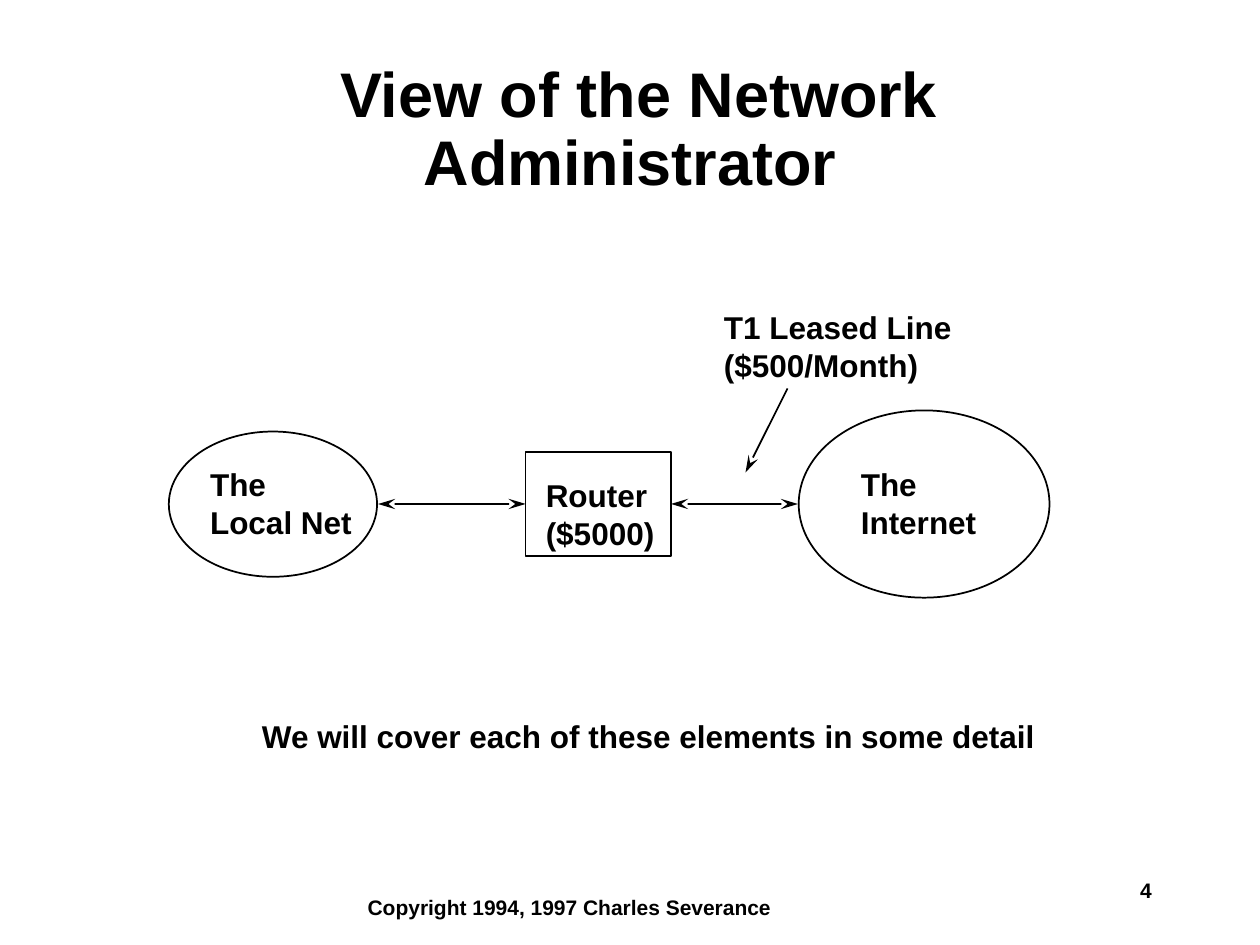
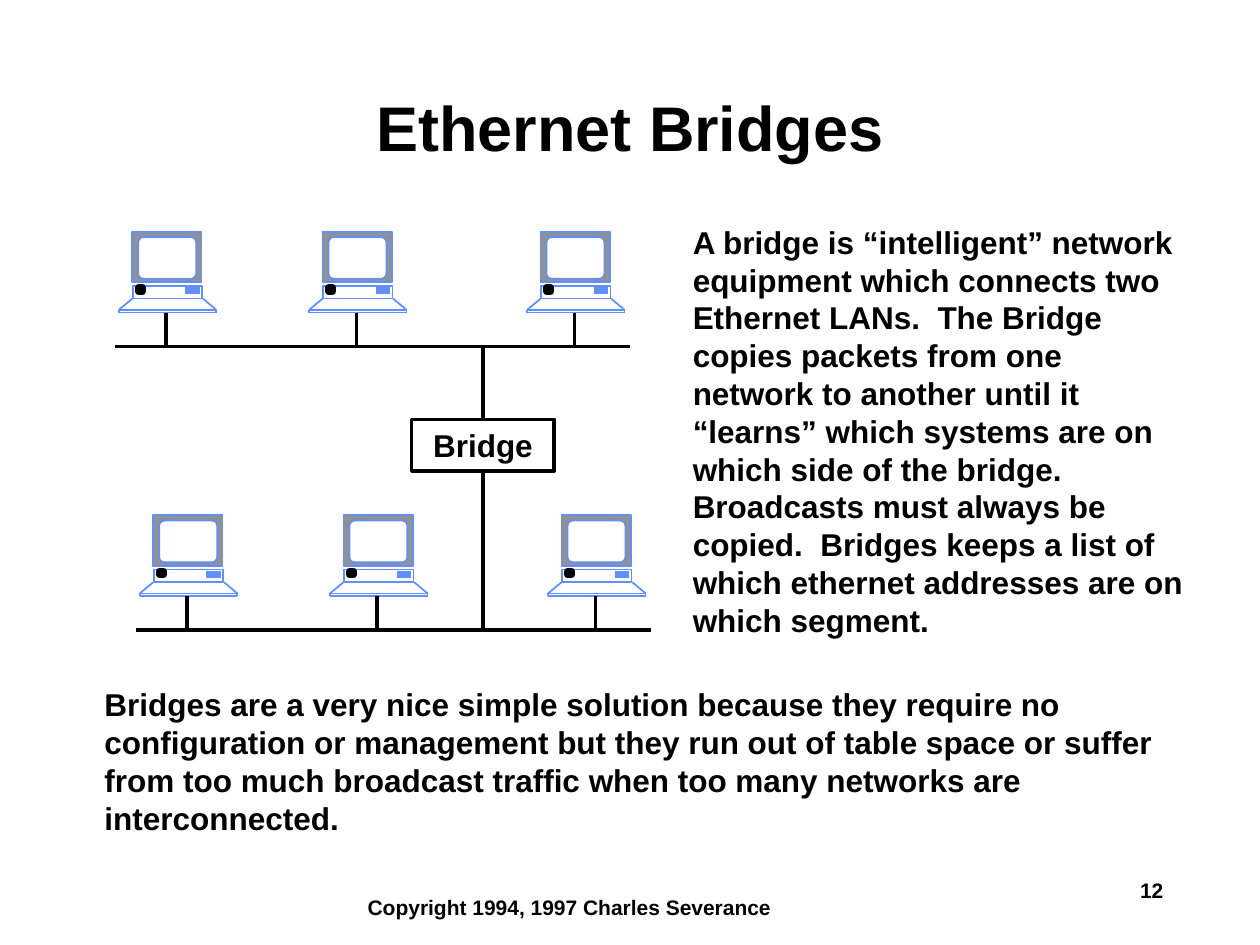
import pptx
import pptx.dml.color
import pptx.enum.shapes
import pptx.enum.text
import pptx.oxml
import pptx.oxml.ns
import pptx.util

Pt = pptx.util.Pt
Shape = pptx.enum.shapes.MSO_SHAPE
STRAIGHT = pptx.enum.shapes.MSO_CONNECTOR.STRAIGHT
ALIGN = pptx.enum.text.PP_ALIGN
ANCHOR = pptx.enum.text.MSO_ANCHOR

BLACK = pptx.dml.color.RGBColor(0x00, 0x00, 0x00)
WHITE = pptx.dml.color.RGBColor(0xFF, 0xFF, 0xFF)
GREY = pptx.dml.color.RGBColor(0x91, 0x91, 0x91)
BLUE = pptx.dml.color.RGBColor(0x61, 0x8F, 0xFD)
FONT = "Arial"
BODY_SIZE = 18


def style_drawing(drawing, colour, width, fill=None, arrows=()):
    """Style a shape or connector; arrows may name headEnd and tailEnd."""
    drawing.line.color.rgb = colour
    drawing.line.width = Pt(width)
    properties = drawing.element.spPr
    line = properties.find(pptx.oxml.ns.qn("a:ln"))
    namespace = pptx.oxml.ns.nsdecls("a")
    for end in arrows:
        line.append(pptx.oxml.parse_xml(
            f'<a:{end} {namespace} type="stealth" w="med" len="lg"/>'))
    properties.append(pptx.oxml.parse_xml(f"<a:effectLst {namespace}/>"))
    if fill is not None:
        drawing.fill.solid()
        drawing.fill.fore_color.rgb = fill


def write_text(shape, lines, size=BODY_SIZE, wrap=False, align=ALIGN.LEFT,
               anchor=ANCHOR.TOP, spacing=1.0):
    frame = shape.text_frame
    frame.word_wrap = wrap
    frame.vertical_anchor = anchor
    for index, line in enumerate(lines):
        paragraph = frame.add_paragraph() if index else frame.paragraphs[0]
        paragraph.alignment = align
        paragraph.line_spacing = spacing
        run = paragraph.add_run()
        run.text = line
        run.font.name = FONT
        run.font.size = Pt(size)
        run.font.bold = True
        run.font.color.rgb = BLACK


presentation = pptx.Presentation()
presentation.slide_width = Pt(720)
presentation.slide_height = Pt(540)

# Title and footer on every slide
slides = []
for title, number in ((" View of the Network Administrator", "4"),
                      ("Ethernet Bridges", "12")):
    slide = presentation.slides.add_slide(presentation.slide_layouts[6])
    slides.append(slide)
    footer = slide.shapes.add_textbox(Pt(203), Pt(507.6), Pt(245.5), Pt(21.6))
    write_text(footer, ["Copyright 1994, 1997 Charles Severance"], size=12)
    page_number = slide.shapes.add_textbox(Pt(644.4), Pt(498), Pt(72), Pt(21.6))
    write_text(page_number, [number], size=12, wrap=True)
    title_box = slide.shapes.add_textbox(Pt(78), Pt(48), Pt(564), Pt(54))
    write_text(title_box, [title], size=36, wrap=True, align=ALIGN.CENTER,
               anchor=ANCHOR.MIDDLE, spacing=0.9)
administrator_slide, bridge_slide = slides

# Local net, router and Internet
nodes = []
for kind, left, top, width, height in (
        (Shape.OVAL, 96.5, 246.6, 119, 83),
        (Shape.RECTANGLE, 300.4, 258.4, 83, 59.2),
        (Shape.OVAL, 456.4, 234.5, 143.3, 107)):
    node = administrator_slide.shapes.add_shape(
        kind, Pt(left), Pt(top), Pt(width), Pt(height))
    style_drawing(node, BLACK, 1, WHITE)
    nodes.append(node)
router = nodes[1]

link_y = Pt(288)
local_link = administrator_slide.shapes.add_connector(
    STRAIGHT, Pt(216), link_y, Pt(300), link_y)
local_link.end_connect(router, 1)
leased_line = administrator_slide.shapes.add_connector(
    STRAIGHT, Pt(384), link_y, Pt(456), link_y)
leased_line.begin_connect(router, 3)
for link in (local_link, leased_line):
    style_drawing(link, BLACK, 1, arrows=("headEnd", "tailEnd"))
pointer = administrator_slide.shapes.add_connector(
    STRAIGHT, Pt(450), Pt(222), Pt(426), Pt(270))
style_drawing(pointer, BLACK, 1, arrows=("tailEnd",))

for left, top, width, height, lines in (
        (113, 262.2, 95.8, 50.4, ["The", "Local Net"]),
        (304.8, 268.6, 76.3, 50.4, ["Router", "($5000)"]),
        (484.8, 262.2, 80.6, 50.4, ["The", "Internet"]),
        (406.6, 172.4, 149.8, 50.4, ["T1 Leased Line", "($500/Month)"]),
        (142.6, 406, 456.5, 28.8,
         ["We will cover each of these elements in some detail"])):
    label = administrator_slide.shapes.add_textbox(
        Pt(left), Pt(top), Pt(width), Pt(height))
    write_text(label, lines)

# Two Ethernet segments of three computers, measured from each screen's corner
COMPUTER_BOXES = (
    (Shape.RECTANGLE, 0, 0, 39.6, 28.8, BLUE, 1, GREY),
    (Shape.ROUNDED_RECTANGLE, 3.4, 3, 33.1, 23.8, BLUE, 1, WHITE),
    (Shape.RECTANGLE, 0.4, 31, 39.6, 7.2, BLUE, 1, None),
    (Shape.RECTANGLE, 3.6, 31.9, 2.2, 2.2, BLACK, 4, BLACK),
)
COMPUTER_LINES = (
    (0, 38.2, -7.7, 44.6, BLUE, 1),
    (40.4, 38.2, 48, 44.6, BLUE, 1),
    (-7.7, 44.6, 48, 44.6, BLUE, 1),
    (-7.7, 46.1, 48, 46.1, BLUE, 1),
    (-7.7, 44.6, -7.7, 46.1, BLUE, 1),
    (48, 44.6, 48, 46.1, BLUE, 1),
    (30.4, 33.8, 38.6, 33.8, BLUE, 4),
    (19.3, 46.1, 19.3, 65.5, BLACK, 2),
)
SCREEN_LEFTS = (75.6, 184.3, 308.9)
CABLE_YS = (198, 360)
for cable_y, indent in zip(CABLE_YS, (0, 12)):
    segment = bridge_slide.shapes.add_group_shape()
    screen_top = cable_y - 65.5
    for screen_left in SCREEN_LEFTS:
        x = screen_left + indent
        for kind, left, top, width, height, colour, weight, fill in COMPUTER_BOXES:
            part = segment.shapes.add_shape(
                kind, Pt(x + left), Pt(screen_top + top), Pt(width), Pt(height))
            style_drawing(part, colour, weight, fill)
            if fill is None:
                part.fill.background()
            if kind == Shape.ROUNDED_RECTANGLE:
                part.adjustments[0] = 0.125
        for x1, y1, x2, y2, colour, weight in COMPUTER_LINES:
            edge = segment.shapes.add_connector(
                STRAIGHT, Pt(x + x1), Pt(screen_top + y1),
                Pt(x + x2), Pt(screen_top + y2))
            style_drawing(edge, colour, weight)
    cable = segment.shapes.add_connector(
        STRAIGHT, Pt(66 + indent), Pt(cable_y), Pt(360 + indent), Pt(cable_y))
    style_drawing(cable, BLACK, 2)

# Bridge joining the two cables
bridge = bridge_slide.shapes.add_shape(
    Shape.RECTANGLE, Pt(235.3), Pt(239.6), Pt(81.4), Pt(29.6))
style_drawing(bridge, BLACK, 2, WHITE)
write_text(bridge, ["Bridge"], align=ALIGN.CENTER, anchor=ANCHOR.MIDDLE)
for cable_y, side in zip(CABLE_YS, (0, 2)):
    riser = bridge_slide.shapes.add_connector(
        STRAIGHT, Pt(276), Pt(cable_y), Pt(276), Pt(cable_y))
    riser.end_connect(bridge, side)
    style_drawing(riser, BLACK, 2)

for left, top, width, height, text in (
        (388.8, 123.8, 295.2, 244.8,
         "A bridge is “intelligent” network equipment which connects two "
         "Ethernet LANs.  The Bridge copies packets from one network to another "
         "until it “learns” which systems are on which side of the bridge.  "
         "Broadcasts must always be copied.  Bridges keeps a list of which "
         "ethernet addresses are on which segment."),
        (52.6, 388, 649.4, 93.6,
         "Bridges are a very nice simple solution because they require no "
         "configuration or management but they run out of table space or suffer "
         "from too much broadcast traffic when too many networks are "
         "interconnected.")):
    explanation = bridge_slide.shapes.add_textbox(
        Pt(left), Pt(top), Pt(width), Pt(height))
    write_text(explanation, [text], wrap=True)

presentation.save("out.pptx")
